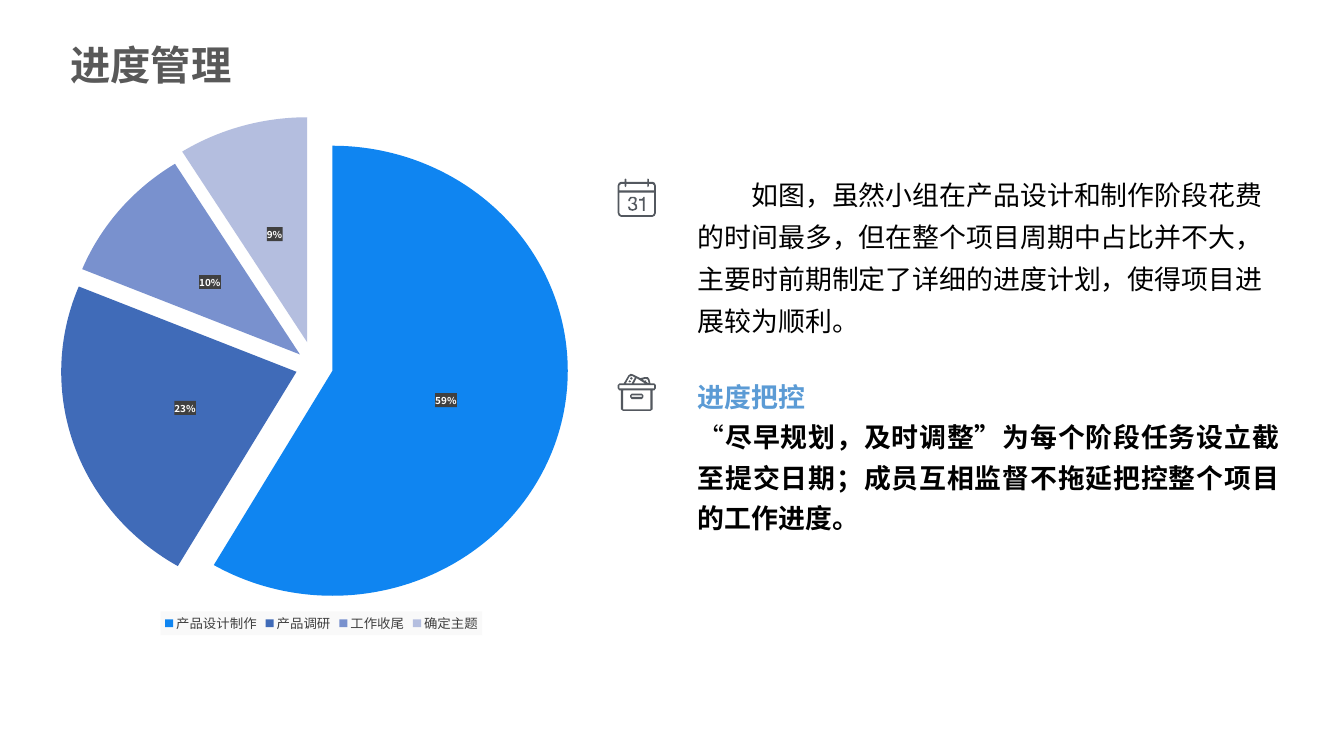
from dataclasses import dataclass

from lxml.etree import SubElement
from pptx import Presentation
from pptx.chart.data import CategoryChartData
from pptx.dml.color import RGBColor
from pptx.enum.chart import XL_CHART_TYPE, XL_LABEL_POSITION, XL_LEGEND_POSITION
from pptx.enum.text import MSO_AUTO_SIZE, PP_ALIGN
from pptx.oxml import parse_xml
from pptx.oxml.ns import nsdecls, qn
from pptx.util import Pt

PX = 9144  # EMU per px, 100 px to the inch


@dataclass(frozen=True)
class Theme:
    font: str = "Noto Sans CJK SC"
    title: str = "595959"
    body: str = "000000"
    heading: str = "5B9BD5"
    icon: str = "53585F"
    label: str = "FFFFFF"
    label_back: str = "404040"
    legend: str = "404040"
    legend_back: str = "F9F9F9"
    slices: tuple = ("0F85F1", "406BB8", "7991CE", "B4BEDF")
    title_size: float = 54
    body_size: float = 36
    legend_size: float = 18
    label_size: float = 13.3


THEME = Theme()

STAGES = {"产品设计制作": 59, "产品调研": 23, "工作收尾": 10, "确定主题": 9}
EXPLOSIONS = (8, 8, 8, 11)
PLOT_LAYOUT = {"x": 0.075, "y": 0.002, "w": 0.825, "h": 0.909}

CALENDAR = [
    [(6, 6), (13, 6), (13, 1), (14, 0), (16, 1), (16, 6), (55, 6), (55, 1), (56, 0),
     (58, 1), (58, 6), (65, 6), (69, 8), (71, 13), (71, 64), (69, 69), (65, 71),
     (6, 71), (2, 69), (0, 64), (0, 13), (2, 8)],
    [(3, 22), (3, 13), (6, 10), (13, 10), (13, 14), (14, 16), (16, 14), (16, 10),
     (55, 10), (55, 14), (56, 16), (58, 14), (58, 10), (65, 10), (68, 13), (68, 22)],
    [(3, 26), (68, 26), (68, 64), (65, 68), (6, 68), (3, 64)],
    [(31, 56), (30, 57), (28, 57), (24, 56), (22, 52), (19, 52), (20, 55), (21, 58),
     (24, 59), (28, 60), (31, 59), (34, 58), (36, 56), (36, 52), (35, 48), (32, 46),
     (34, 44), (35, 41), (35, 37), (33, 35), (31, 34), (24, 34), (22, 36), (20, 39),
     (20, 42), (23, 42), (23, 40), (24, 38), (25, 37), (28, 36), (31, 37), (32, 41),
     (31, 44), (29, 45), (26, 45), (26, 47), (28, 47), (31, 49), (33, 52), (33, 54)],
    [(47, 60), (50, 60), (50, 34), (48, 34), (47, 36), (45, 38), (40, 38), (40, 41),
     (47, 41)],
]
ARCHIVE_BOX = [
    [(68, 18), (61, 18), (59, 10), (56, 6), (51, 6), (42, 8), (28, 1), (24, 0), (20, 3),
     (11, 18), (3, 18), (0, 21), (0, 27), (3, 31), (6, 31), (6, 66), (10, 69), (61, 69),
     (65, 66), (65, 31), (68, 31), (71, 27), (71, 21)],
    [(3, 21), (68, 21), (68, 27), (3, 27)],
    [(10, 31), (61, 31), (61, 66), (10, 66)],
    [(22, 5), (27, 4), (32, 7), (26, 18), (15, 18)],
    [(51, 18), (30, 18), (35, 8)],
    [(52, 9), (56, 11), (58, 18), (53, 15), (53, 12), (50, 13), (46, 11)],
    [(26, 47), (45, 47), (48, 43), (48, 40), (45, 37), (26, 37), (23, 40), (23, 43)],
    [(26, 40), (45, 40), (45, 43), (26, 43)],
    [(25, 14), (22, 12), (20, 15), (23, 16)],
    [(28, 8), (25, 6), (23, 9), (26, 11)],
]


def set_font(font, size, color, bold=False):
    font.name = THEME.font
    font.size = Pt(size)
    font.bold = bold
    font.color.rgb = RGBColor.from_string(color)


def use_font_for_chinese(root):
    """Give every Latin typeface under root its East Asian counterpart."""
    for latin in list(root.iter(qn("a:latin"))):
        east_asian = SubElement(latin.getparent(), qn("a:ea"), typeface=latin.get("typeface"))
        latin.addnext(east_asian)


def add_text_frame(slide, box):
    frame = slide.shapes.add_textbox(*(n * PX for n in box)).text_frame
    frame.word_wrap = True
    frame.auto_size = MSO_AUTO_SIZE.SHAPE_TO_FIT_TEXT
    return frame


def write(paragraph, text, size, color, spacing, bold=False):
    paragraph.text = text
    paragraph.line_spacing = spacing
    set_font(paragraph.font, size, color, bold)


def add_icon(slide, left, top, contours):
    """Draw nested contours; each inner one cuts a hole in the one around it."""
    builder = slide.shapes.build_freeform(*contours[0][0], scale=PX)
    for index, (start, *rest) in enumerate(contours):
        if index:
            builder.move_to(*start)
        builder.add_line_segments(rest, close=True)
    icon = builder.convert_to_shape(left * PX, top * PX)
    icon.shadow.inherit = False
    icon.fill.solid()
    icon.fill.fore_color.rgb = RGBColor.from_string(THEME.icon)
    icon.line.fill.background()


def chart_fill(color):
    return parse_xml(f'<c:spPr {nsdecls("c", "a")}><a:solidFill>'
                     f'<a:srgbClr val="{color}"/></a:solidFill></c:spPr>')


def place_plot(chart):
    plot_area = chart.element.find(".//" + qn("c:plotArea"))
    for layout in plot_area.findall(qn("c:layout")):
        plot_area.remove(layout)
    modes = '<c:layoutTarget val="inner"/><c:xMode val="edge"/><c:yMode val="edge"/>'
    sizes = "".join(f'<c:{key} val="{value}"/>' for key, value in PLOT_LAYOUT.items())
    plot_area.insert(0, parse_xml(f'<c:layout {nsdecls("c")}><c:manualLayout>{modes}{sizes}'
                                  '</c:manualLayout></c:layout>'))


def add_stage_pie(slide, box):
    data = CategoryChartData()
    data.categories = list(STAGES)
    data.add_series("Series 1", list(STAGES.values()))
    chart = slide.shapes.add_chart(XL_CHART_TYPE.PIE, *(n * PX for n in box), data).chart
    chart.has_title = False
    set_font(chart.font, 10, THEME.body)
    place_plot(chart)

    chart.has_legend = True
    legend = chart.legend
    legend.position = XL_LEGEND_POSITION.BOTTOM
    legend.include_in_layout = False
    set_font(legend.font, THEME.legend_size, THEME.legend)
    legend_text = chart.element.find(f".//{qn('c:legend')}/{qn('c:txPr')}")
    legend_text.addprevious(chart_fill(THEME.legend_back))

    stages = chart.plots[0].series[0]
    for index, (color, explosion) in enumerate(zip(THEME.slices, EXPLOSIONS)):
        fill = stages.points[index].format.fill
        fill.solid()
        fill.fore_color.rgb = RGBColor.from_string(color)
    for point, explosion in zip(chart.element.iter(qn("c:dPt")), EXPLOSIONS):
        offset = SubElement(point, qn("c:explosion"), val=str(explosion))
        point.find(qn("c:spPr")).addprevious(offset)

    labels = stages.data_labels
    labels.show_value = True
    labels.number_format = '0"%"'
    labels.number_format_is_linked = False
    labels.position = XL_LABEL_POSITION.CENTER
    set_font(labels.font, THEME.label_size, THEME.label, bold=True)
    label_text = chart.element.find(f".//{qn('c:ser')}/{qn('c:dLbls')}/{qn('c:txPr')}")
    label_text.addprevious(chart_fill(THEME.label_back))
    use_font_for_chinese(chart.element)


def add_title(slide, box):
    title = add_text_frame(slide, box).paragraphs[0]
    write(title, "进度管理", THEME.title_size, THEME.title, 1.5, bold=True)


def add_summary(slide, left, top, width, height):
    add_icon(slide, left, top + 22, CALENDAR)
    summary = add_text_frame(slide, (left + 139, top, width - 139, height)).paragraphs[0]
    write(summary, "如图，虽然小组在产品设计和制作阶段花费的时间最多，但在整个项目周期中占比并不大，"
          "主要时前期制定了详细的进度计划，使得项目进展较为顺利。", THEME.body_size, THEME.body, 1.3)
    summary_format = summary._p.get_or_add_pPr()
    summary_format.set("marL", "0")
    summary_format.set("indent", str(100 * PX))


def add_control(slide, left, top, width, height):
    add_icon(slide, left, top + 10, ARCHIVE_BOX)
    frame = add_text_frame(slide, (left + 139, top, width - 139, height))
    write(frame.paragraphs[0], "进度把控", THEME.body_size, THEME.heading, 1.3, bold=True)
    advice = frame.add_paragraph()
    write(advice, "“", THEME.body_size, THEME.body, 1.25)
    advice.alignment = PP_ALIGN.JUSTIFY
    emphasis = advice.add_run()
    emphasis.text = "尽早规划，及时调整”为每个阶段任务设立截至提交日期；成员互相监督不拖延把控整个项目的工作进度。"
    emphasis.font.bold = True


def add_progress_slide(deck):
    slide = deck.slides.add_slide(deck.slide_layouts[6])
    add_summary(slide, 1149, 310, 1241, 325)
    add_title(slide, (121, 25, 948, 146))
    add_stage_pie(slide, (67, 218, 1062, 963))
    add_control(slide, 1149, 685, 1241, 395)
    use_font_for_chinese(slide.element)


def main():
    deck = Presentation()
    deck.slide_width, deck.slide_height = 2500 * PX, 1400 * PX
    add_progress_slide(deck)
    deck.save("out.pptx")


if __name__ == "__main__":
    main()
